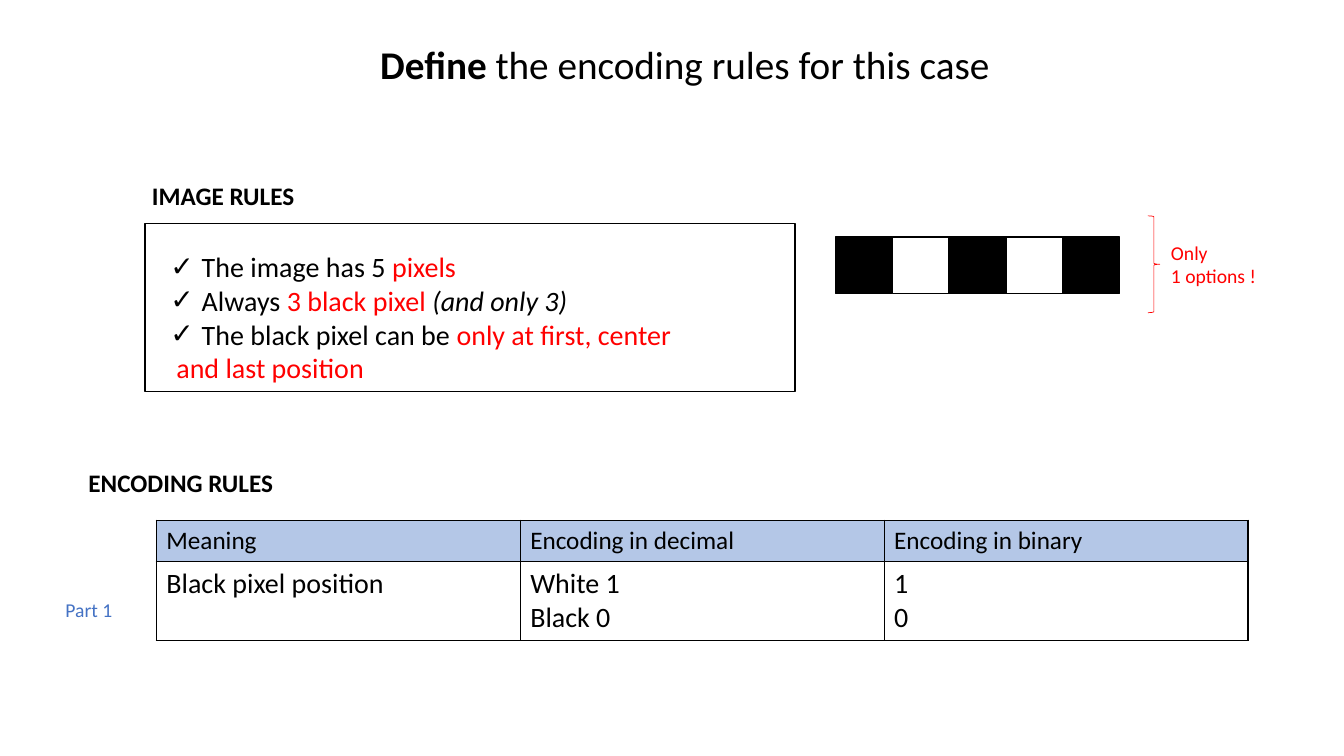
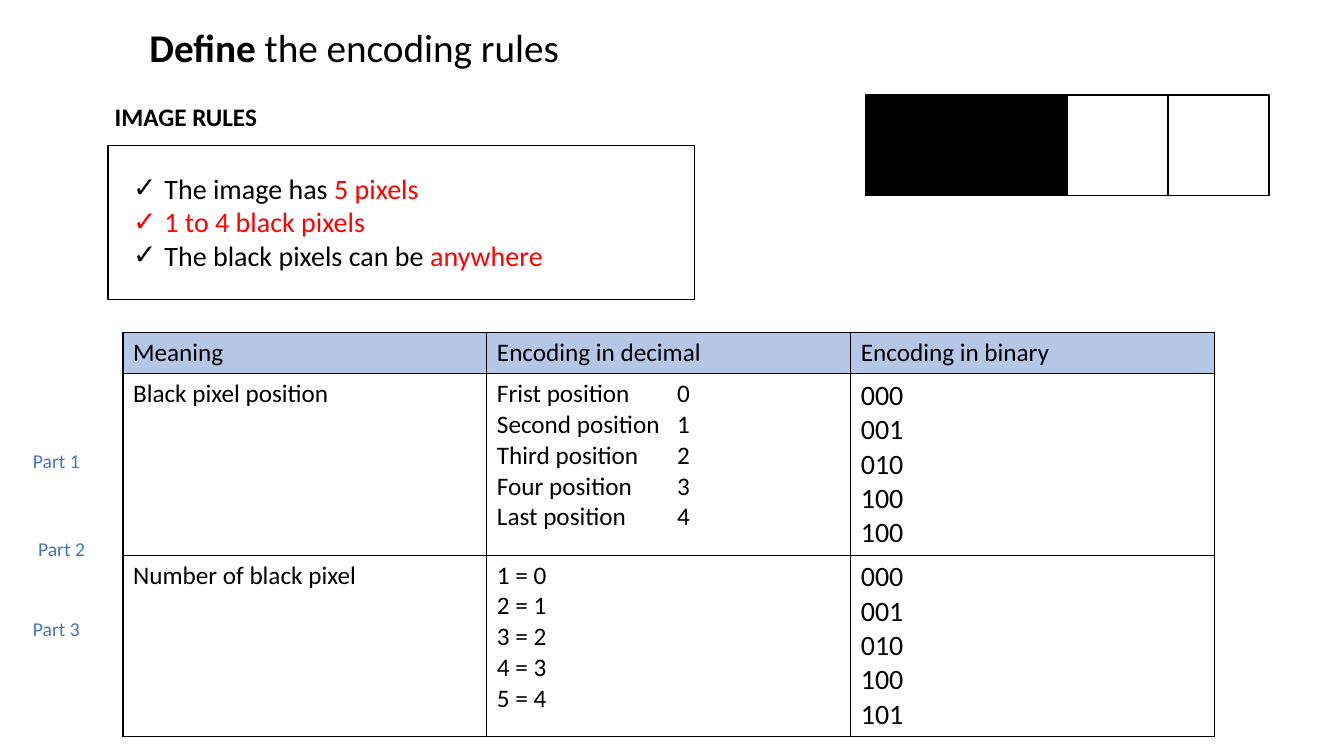
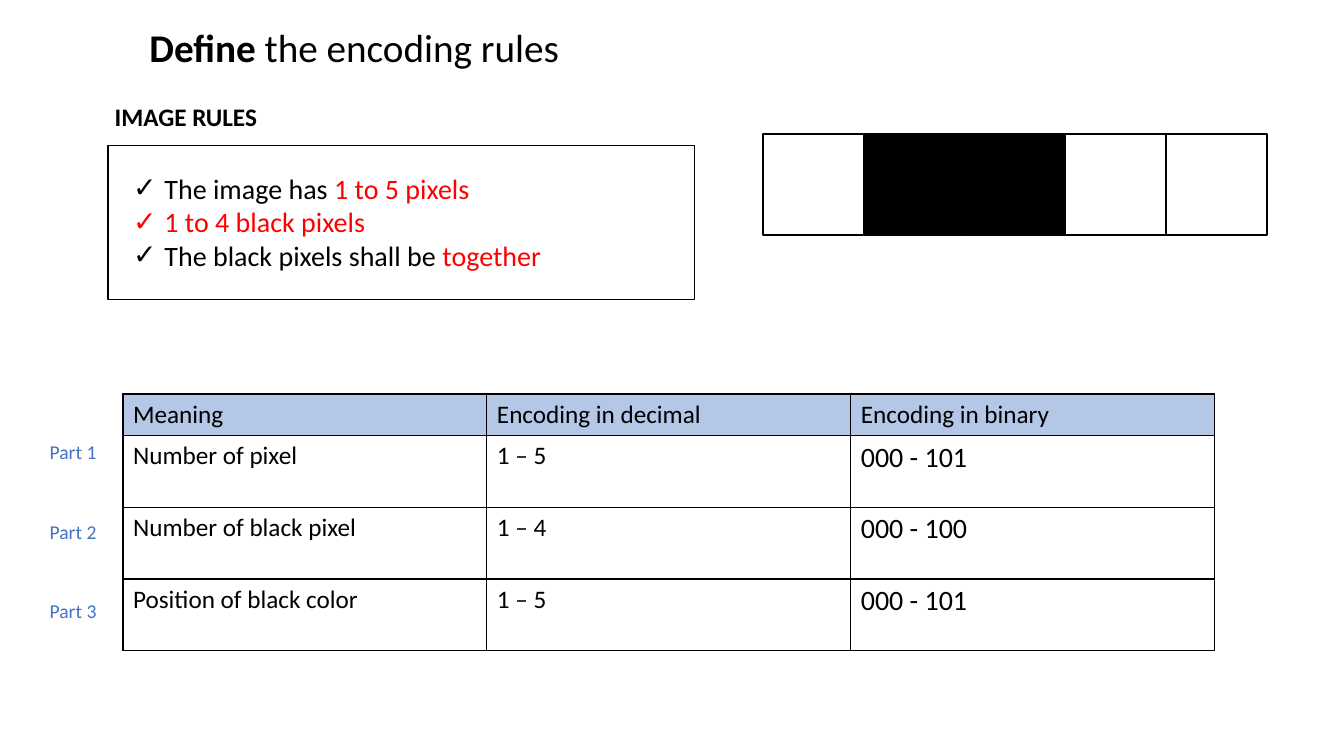
from dataclasses import dataclass

from pptx import Presentation
from pptx.dml.color import RGBColor
from pptx.enum.shapes import MSO_SHAPE
from pptx.enum.text import MSO_ANCHOR, MSO_AUTO_SIZE, PP_ALIGN
from pptx.oxml import parse_xml
from pptx.oxml.ns import nsdecls
from pptx.util import Cm, Pt

RECTANGLE = MSO_SHAPE.RECTANGLE
RIGHT_BRACE = MSO_SHAPE.RIGHT_BRACE
LEFT = PP_ALIGN.LEFT
CENTER = PP_ALIGN.CENTER
TOP = MSO_ANCHOR.TOP
NO_AUTO_SIZE = MSO_AUTO_SIZE.NONE


@dataclass(frozen=True)
class Theme:
    """Colours, font and type sizes shared by the slides."""

    font: str = "Calibri"
    black: str = "000000"
    white: str = "FFFFFF"
    red: str = "FF0000"
    blue: str = "4472C4"
    header: str = "B4C7E7"
    title: int = 28
    body: int = 20
    heading: int = 18
    label: int = 14


THEME = Theme()
RED = {"color": THEME.red}
BOLD = {"bold": True}
ITALIC = {"italic": True}
TABLE_HEADER = ["Meaning", "Encoding in decimal", "Encoding in binary"]
COLUMN_WIDTH = 9.17
HEADER_HEIGHT = 1.04
POSITION_TAB = 4.54


def add_text(paragraph, text, size=THEME.body, color=THEME.black, bold=False, italic=False):
    """Append one formatted run to a paragraph."""
    run = paragraph.add_run()
    run.text = text
    font = run.font
    font.name = THEME.font
    font.size = Pt(size)
    font.bold = bold
    font.italic = italic
    font.color.rgb = RGBColor.from_string(color)


def fill_frame(frame, lines, align=LEFT, **text_format):
    """Write each line, a string or a list of (text, format) pairs, as a paragraph."""
    for index, line in enumerate(lines):
        paragraph = frame.add_paragraph() if index else frame.paragraphs[0]
        paragraph.alignment = align
        pieces = [(line, {})] if isinstance(line, str) else line
        for text, own_format in pieces:
            add_text(paragraph, text, **{**text_format, **own_format})


def indent_paragraph(paragraph, margin, hanging, bullet):
    """Set the indent and the bullet of a list paragraph."""
    properties = paragraph._p.get_or_add_pPr()
    properties.set("marL", str(Cm(margin)))
    properties.set("indent", str(-Cm(hanging)))
    mark = f'<a:buChar {nsdecls("a")} char="✓"/>' if bullet else f'<a:buNone {nsdecls("a")}/>'
    properties.append(parse_xml(mark))
    paragraph.space_before = Pt(0)


def set_tab(paragraph, position):
    """Give a paragraph one left tab stop."""
    paragraph._p.get_or_add_pPr().append(parse_xml(
        f'<a:tabLst {nsdecls("a")}><a:tab pos="{Cm(position)}" algn="l"/></a:tabLst>'))


def set_borders(cell):
    """Draw a thin black line on every side of a table cell."""
    properties = cell._tc.get_or_add_tcPr()
    for side in ("lnL", "lnR", "lnT", "lnB"):
        properties.append(parse_xml(
            f'<a:{side} {nsdecls("a")} w="{Pt(1)}"><a:solidFill>'
            f'<a:srgbClr val="{THEME.black}"/></a:solidFill></a:{side}>'))


def place(shape, left, top, width, height):
    """Move and size a shape in centimetres."""
    shape.left, shape.top = Cm(left), Cm(top)
    shape.width, shape.height = Cm(width), Cm(height)


class Deck:
    """Holds the presentation, its style and the current slide."""

    def __init__(self):
        """Start a widescreen presentation."""
        self.presentation = Presentation()
        self.presentation.slide_width = Cm(33.87)
        self.presentation.slide_height = Cm(19.05)
        self.slide = None

    def add_slide(self):
        """Start a slide with a title and a body."""
        self.slide = self.presentation.slides.add_slide(self.presentation.slide_layouts[1])

    def add_title(self, rest, left, top, width, align=LEFT):
        """Fill the title, which opens with a bold verb."""
        title = self.slide.shapes.title
        place(title, left, top, width, 1.45)
        title.text_frame.auto_size = NO_AUTO_SIZE
        fill_frame(title.text_frame, [[("Define", BOLD), (rest, {})]], align, size=THEME.title)

    def add_label(self, lines, left, top, width, height, **text_format):
        """Add a text box that does not wrap."""
        box = self.slide.shapes.add_textbox(Cm(left), Cm(top), Cm(width), Cm(height))
        box.text_frame.word_wrap = False
        fill_frame(box.text_frame, lines, **text_format)

    def add_heading(self, text, left, top, width):
        """Add a bold section heading."""
        self.add_label([text], left, top, width, 1.02, size=THEME.heading, bold=True)

    def add_part(self, number, left, top):
        """Add a blue part label beside the table."""
        self.add_label([f"Part {number}"], left, top, 1.7, 0.86,
                       size=THEME.label, color=THEME.blue)

    def add_outline(self, kind, left, top, width, height, line=THEME.black, weight=1, fill=None):
        """Add a preset shape with a line and an optional fill."""
        shape = self.slide.shapes.add_shape(kind, Cm(left), Cm(top), Cm(width), Cm(height))
        shape.shadow.inherit = False
        shape.line.color.rgb = RGBColor.from_string(line)
        shape.line.width = Pt(weight)
        if fill:
            shape.fill.solid()
            shape.fill.fore_color.rgb = RGBColor.from_string(fill)
        else:
            shape.fill.background()

    def add_rules(self, lines, left, top, width, height, frame, continued=()):
        """Fill the body with ticked rules and frame it below a heading."""
        body = self.slide.placeholders[1]
        place(body, left, top, width, height)
        text_frame = body.text_frame
        text_frame.auto_size = NO_AUTO_SIZE
        text_frame.vertical_anchor = TOP
        fill_frame(text_frame, [*lines, *continued])
        for index, paragraph in enumerate(text_frame.paragraphs):
            if index < len(lines):
                indent_paragraph(paragraph, 0.79, 0.79, True)
            else:
                indent_paragraph(paragraph, 0.15, 0, False)
        self.add_outline(RECTANGLE, *frame)
        self.add_heading("IMAGE RULES", frame[0] - 0.08, frame[1] - 1.22, 4.14)

    def add_pixels(self, pattern, left, top, size):
        """Draw a row of pixels, where 1 is black and 0 is white."""
        for index, pixel in enumerate(pattern):
            fill = THEME.black if pixel == "1" else THEME.white
            self.add_outline(RECTANGLE, left + index * size, top, size, size, fill=fill)

    def add_encoding_table(self, rows, left, top, row_height, sizes):
        """Add the encoding table; sizes gives the type size of each column."""
        columns = len(TABLE_HEADER)
        frame = self.slide.shapes.add_table(
            len(rows) + 1, columns, Cm(left), Cm(top), Cm(COLUMN_WIDTH * columns),
            Cm(HEADER_HEIGHT + row_height * len(rows)))
        table = frame.table
        table.first_row = table.horz_banding = False
        for column in table.columns:
            column.width = Cm(COLUMN_WIDTH)
        for row_index, values in enumerate([TABLE_HEADER, *rows]):
            is_header = row_index == 0
            table.rows[row_index].height = Cm(HEADER_HEIGHT if is_header else row_height)
            for column_index, value in enumerate(values):
                cell = table.cell(row_index, column_index)
                size = THEME.heading if is_header else sizes[column_index]
                lines = value.split("\n")
                fill_frame(cell.text_frame, lines, size=size)
                for line, paragraph in zip(lines, cell.text_frame.paragraphs):
                    if "\t" in line:
                        set_tab(paragraph, POSITION_TAB)
                set_borders(cell)
                if is_header:
                    cell.fill.solid()
                    cell.fill.fore_color.rgb = RGBColor.from_string(THEME.header)
                else:
                    cell.fill.background()


def build_fixed_case(deck):
    """Build the slide for the case with one option."""
    deck.add_slide()
    deck.add_title(" the encoding rules for this case", 7.62, 0.89, 19.28, CENTER)
    deck.add_rules(
        [[("The image has 5 ", {}), ("pixels", RED)],
         [("Always ", {}), ("3 black pixel ", RED), ("(and only 3)", ITALIC)],
         [("The black pixel can be ", {}), ("only at first, center", RED)]],
        4.04, 6.17, 13.5, 3.68, (3.66, 5.64, 16.38, 4.22),
        continued=[[("and last position", RED)]])
    deck.add_pixels("10101", 21.06, 5.97, 1.43)
    deck.add_outline(RIGHT_BRACE, 28.93, 5.44, 0.3, 2.44, line=THEME.red, weight=0.5)
    deck.add_label(["Only", "1 options !"], 29.26, 5.94, 2.67, 1.45,
                   size=THEME.label, color=THEME.red)
    deck.add_heading("ENCODING RULES", 1.98, 11.66, 5.23)
    deck.add_encoding_table([["Black pixel position", "White 1\nBlack 0", "1\n0"]],
                            3.94, 13.11, 1.98, [THEME.body] * 3)
    deck.add_part(1, 1.4, 14.94)


def build_open_case(deck, count, verb, place_word, pattern, pixels_at, rows, table_top,
                    row_height, parts):
    """Build a slide for a case with a variable number of black pixels."""
    deck.add_slide()
    deck.add_title(" the encoding rules", 3.51, 0.46, 11.43)
    deck.add_rules(
        [[("The image has ", {}), (count, RED)],
         [("1 to 4 black pixels", RED)],
         [(f"The black pixels {verb} be ", {}), (place_word, RED)]],
        3.1, 4.19, 11.5, 2.82, (2.72, 3.66, 14.78, 3.89))
    deck.add_pixels(pattern, *pixels_at, 2.54)
    deck.add_encoding_table(rows, 3.1, table_top, row_height,
                            [THEME.heading, THEME.heading, THEME.body])
    for number, (left, top) in enumerate(parts, 1):
        deck.add_part(number, left, top)


def main():
    """Build and save the presentation."""
    deck = Deck()
    build_fixed_case(deck)
    positions = ["Frist", "Second", "Third", "Four", "Last"]
    position_codes = "\n".join(
        f"{name} position\t{code}" for code, name in enumerate(positions))
    number_codes = "\n".join(f"{number} = {number - 1}" for number in range(1, 6))
    build_open_case(
        deck, "5 pixels", "can", "anywhere", "1100", (21.82, 2.39),
        [["Black pixel position", position_codes, "000\n001\n010\n100\n100"],
         ["Number of black pixel", number_codes, "000\n001\n010\n100\n101"]],
        8.38, 4.57, [(0.58, 11.2), (0.71, 13.41), (0.58, 15.42)])
    build_open_case(
        deck, "1 to 5 pixels", "shall", "together", "01100", (19.23, 3.38),
        [["Number of pixel", "1 – 5", "000 - 101"],
         ["Number of black pixel", "1 – 4", "000 - 100"],
         ["Position of black color", "1 – 5", "000 - 101"]],
        9.93, 1.81, [(1, 10.97 + 2 * index) for index in range(3)])
    deck.presentation.save("out.pptx")


if __name__ == "__main__":
    main()
